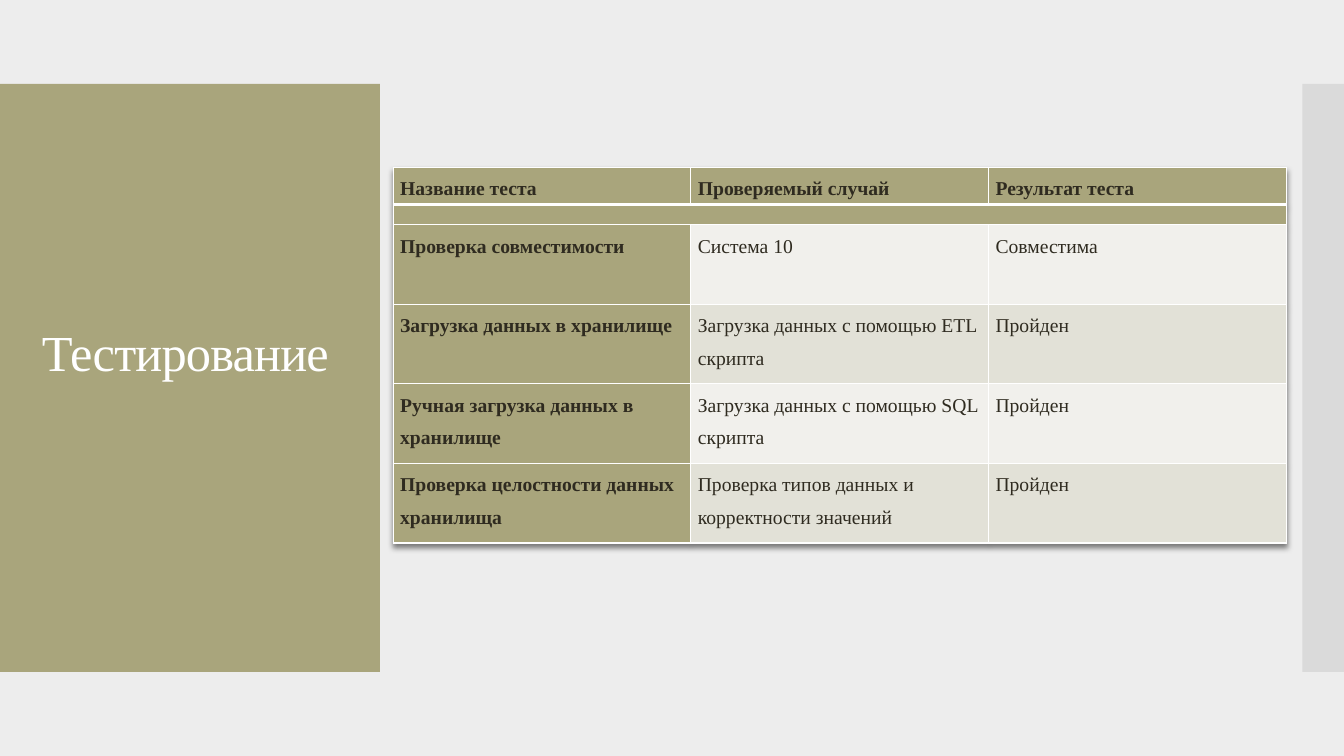
from dataclasses import dataclass

from lxml.etree import SubElement
from pptx import Presentation
from pptx.dml.color import RGBColor
from pptx.enum.shapes import MSO_SHAPE
from pptx.enum.text import MSO_ANCHOR, MSO_AUTO_SIZE, PP_ALIGN
from pptx.oxml import parse_xml
from pptx.oxml.ns import nsdecls, qn
from pptx.slide import Slide
from pptx.table import _Cell
from pptx.util import Inches, Pt

SLIDE_WIDTH = Inches(13.333)
SLIDE_HEIGHT = Inches(7.5)
FONT_NAME = "Times New Roman"
COLORS = {
    "background": "EDEDED",
    "accent": "A9A57C",
    "side": "DADADA",
    "light": "F1F0EC",
    "dark": "E2E1D7",
    "text": "2F2B20",
    "white": "FFFFFF",
}
HEADERS = ("Название теста", "Проверяемый случай", "Результат теста")
TESTS = (
    ("Проверка совместимости", "Система 10", "Совместима"),
    ("Загрузка данных в хранилище", "Загрузка данных с помощью ETL скрипта", "Пройден"),
    ("Ручная загрузка данных в хранилище", "Загрузка данных с помощью SQL скрипта", "Пройден"),
    ("Проверка целостности данных хранилища", "Проверка типов данных и корректности значений", "Пройден"),
)
ROWS = (HEADERS, ("", "", ""), *TESTS)
ROW_SHARES = (4.93, 2.67) + (10.53,) * len(TESTS)


@dataclass(frozen=True)
class Area:
    left: float
    top: float
    width: float
    height: float

    def lengths(self) -> tuple[int, int, int, int]:
        return (
            across(self.left),
            down(self.top),
            across(self.width),
            down(self.height),
        )


@dataclass(frozen=True)
class Panel:
    area: Area
    color: str


PANELS = (
    Panel(Area(0, 11.11, 28.27, 77.78), "accent"),
    Panel(Area(96.9, 11.11, 3.1, 77.78), "side"),
)
TITLE_AREA = Area(0.9, 13.47, 26.7, 67.07)
TABLE_AREA = Area(29.25, 22.13, 66.45, sum(ROW_SHARES))


def across(share: float) -> int:
    return round(SLIDE_WIDTH * share / 100)


def down(share: float) -> int:
    return round(SLIDE_HEIGHT * share / 100)


def rgb(name: str) -> RGBColor:
    return RGBColor.from_string(COLORS[name])


def draw_panel(slide: Slide, panel: Panel) -> None:
    shape = slide.shapes.add_shape(MSO_SHAPE.RECTANGLE, *panel.area.lengths())
    shape.shadow.inherit = False
    shape.fill.solid()
    shape.fill.fore_color.rgb = rgb(panel.color)
    shape.line.fill.background()


def draw_title(slide: Slide) -> None:
    title = slide.shapes.title
    title.left, title.top, title.width, title.height = TITLE_AREA.lengths()
    slide.shapes._spTree.append(title._element)
    frame = title.text_frame
    frame.text = "Тестирование"
    frame.word_wrap = True
    frame.auto_size = MSO_AUTO_SIZE.NONE
    frame.vertical_anchor = MSO_ANCHOR.MIDDLE
    frame.margin_right = Inches(0.22)
    paragraph = frame.paragraphs[0]
    paragraph.alignment = PP_ALIGN.CENTER
    paragraph.line_spacing = 0.9
    font = paragraph.runs[0].font
    font.name = FONT_NAME
    font.size = Pt(36)
    font.color.rgb = rgb("white")
    paragraph.runs[0]._r.get_or_add_rPr().set("spc", "-60")


def add_borders(cell: _Cell, top: float, bottom: float) -> None:
    properties = cell._tc.get_or_add_tcPr()
    for side, width in (("L", 1), ("R", 1), ("T", top), ("B", bottom)):
        border = SubElement(properties, qn(f"a:ln{side}"), w=str(Pt(width)))
        fill = SubElement(border, qn("a:solidFill"))
        SubElement(fill, qn("a:srgbClr"), val=COLORS["white"])


def cell_color(row: int, column: int) -> str:
    if row < 2 or column == 0:
        return "accent"
    return "light" if row % 2 == 0 else "dark"


def format_cell(cell: _Cell, text: str, row: int, column: int) -> None:
    cell.margin_left = cell.margin_right = Inches(0.07)
    cell.margin_top = cell.margin_bottom = 0
    add_borders(cell, 3 if row == 1 else 1, 3 if row == 0 else 1)
    cell.fill.solid()
    cell.fill.fore_color.rgb = rgb(cell_color(row, column))
    paragraph = cell.text_frame.paragraphs[0]
    if not text:
        SubElement(paragraph._p, qn("a:endParaRPr"), sz="800")
        return
    paragraph.text = text
    paragraph.line_spacing = 1.5
    font = paragraph.runs[0].font
    font.name = FONT_NAME
    font.size = Pt(14)
    font.bold = row == 0 or column == 0
    font.color.rgb = rgb("text")


def draw_table(slide: Slide) -> None:
    frame = slide.shapes.add_table(len(ROWS), len(HEADERS), *TABLE_AREA.lengths())
    table = frame.table
    table.first_row = False
    table.horz_banding = False
    table._tbl.tblPr.insert(0, parse_xml(
        f'<a:effectLst {nsdecls("a")}>'
        '<a:outerShdw blurRad="50800" dist="38100" dir="5400000" rotWithShape="0">'
        '<a:srgbClr val="000000"><a:alpha val="50000"/></a:srgbClr>'
        '</a:outerShdw></a:effectLst>'
    ))
    for column in table.columns:
        column.width = across(TABLE_AREA.width / len(HEADERS))
    for row, (texts, share) in enumerate(zip(ROWS, ROW_SHARES)):
        table.rows[row].height = down(share)
        for column, text in enumerate(texts):
            format_cell(table.cell(row, column), text, row, column)
    table.cell(1, 0).merge(table.cell(1, len(HEADERS) - 1))


def main() -> None:
    presentation = Presentation()
    presentation.slide_width = SLIDE_WIDTH
    presentation.slide_height = SLIDE_HEIGHT
    slide = presentation.slides.add_slide(presentation.slide_layouts[5])
    slide.background.fill.solid()
    slide.background.fill.fore_color.rgb = rgb("background")
    for panel in PANELS:
        draw_panel(slide, panel)
    draw_title(slide)
    draw_table(slide)
    presentation.save("out.pptx")


if __name__ == "__main__":
    main()
